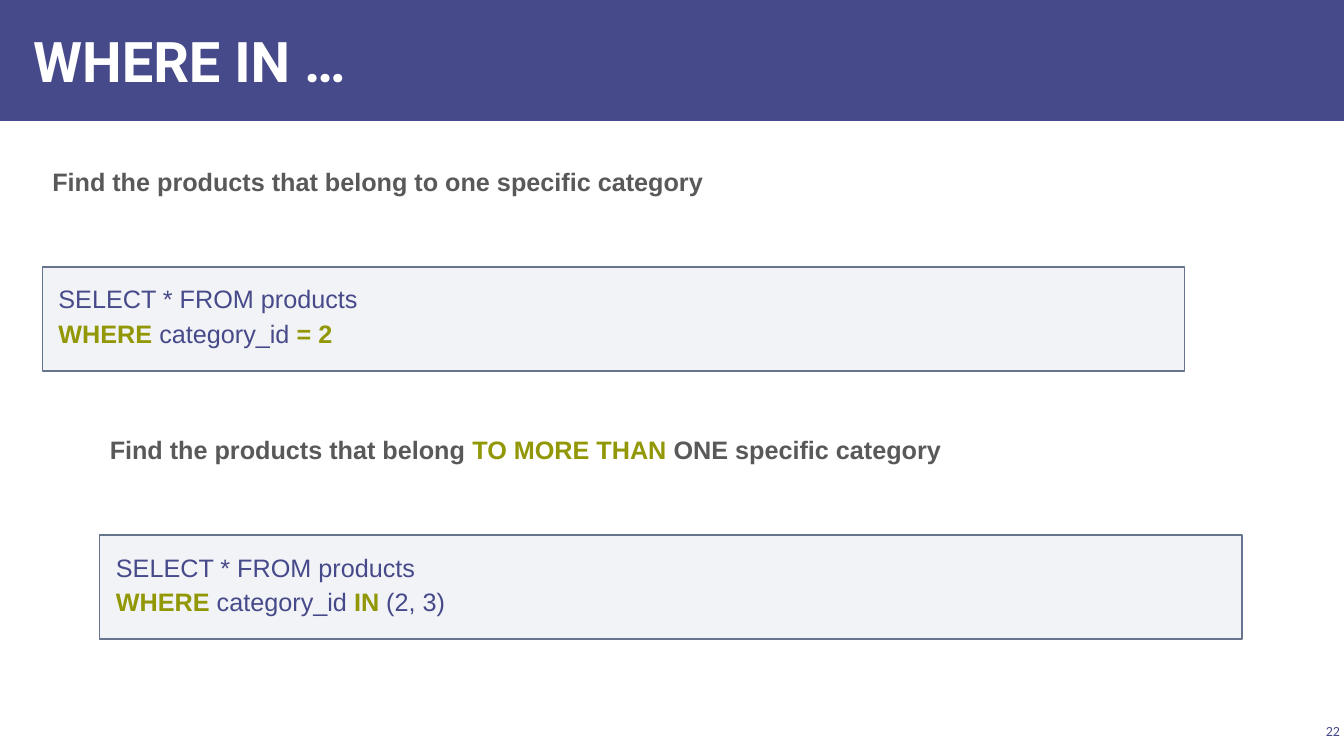
from lxml import etree
from pptx import Presentation
from pptx.dml.color import RGBColor
from pptx.enum.shapes import MSO_SHAPE as Shape
from pptx.enum.text import MSO_ANCHOR as Anchor, PP_ALIGN as Align
from pptx.oxml.ns import qn
from pptx.util import Inches, Pt

INDIGO = RGBColor(0x47, 0x4A, 0x8A)
OLIVE = RGBColor(0x91, 0x97, 0x05)
GRAY = RGBColor(0x59, 0x59, 0x59)
PANEL = RGBColor(0xAC, 0xB4, 0xC3)
BORDER = RGBColor(0x67, 0x74, 0x8E)
WHITE = RGBColor(0xFF, 0xFF, 0xFF)

SLIDE_WIDTH, SLIDE_HEIGHT = 13.33, 7.5


def set_frame(shape, inset_x, inset_y, anchor=Anchor.TOP):
    text_frame = shape.text_frame
    text_frame.word_wrap = True
    text_frame.vertical_anchor = anchor
    text_frame.margin_left = text_frame.margin_right = Inches(inset_x)
    text_frame.margin_top = text_frame.margin_bottom = Inches(inset_y)
    return text_frame


def add_runs(paragraph, runs, size, font="Arial"):
    """Add (text, colour, bold) runs to a paragraph."""
    for text, color, bold in runs:
        run = paragraph.add_run()
        run.text = text
        run.font.name = font
        run.font.size = Pt(size)
        run.font.bold = bold
        run.font.color.rgb = color


def add_rectangle(slide, left, top, width, height, color):
    shape = slide.shapes.add_shape(
        Shape.RECTANGLE, Inches(left), Inches(top), Inches(width), Inches(height))
    shape.shadow.inherit = False
    shape.fill.solid()
    shape.fill.fore_color.rgb = color
    shape.line.fill.background()
    return shape


def add_text_box(slide, left, top, width, height):
    return slide.shapes.add_textbox(
        Inches(left), Inches(top), Inches(width), Inches(height))


def add_header(slide, left, top, width, height, title):
    add_rectangle(slide, left, top, width, height, INDIGO)
    box = add_text_box(slide, left + 0.21, top + 0.11, 10.4, 0.97)
    text_frame = set_frame(box, 0.12, 0.04, Anchor.MIDDLE)
    add_runs(text_frame.paragraphs[0], [(title, WHITE, True)], 40, "Roboto")


def add_example(slide, left, top, width, heading, code_lines):
    # Heading
    box = add_text_box(slide, left, top, width - 0.05, 0.92)
    paragraph = set_frame(box, 0.1, 0.1).paragraphs[0]
    paragraph.line_spacing = 1.15
    add_runs(paragraph, heading, 18)

    # Translucent code panel
    panel = add_rectangle(slide, left, top + 1.15, width, 1.03, PANEL)
    color = panel.fill._xPr.find(qn("a:solidFill"))[0]
    etree.SubElement(color, qn("a:alpha"), val="15000")
    panel.line.color.rgb = BORDER
    panel.line.width = Pt(1)

    # Code
    text_frame = set_frame(panel, 0.16, 0.12)
    for index, runs in enumerate(code_lines):
        paragraph = text_frame.add_paragraph() if index else text_frame.paragraphs[0]
        paragraph.alignment = Align.LEFT
        paragraph.line_spacing = 1.15
        add_runs(paragraph, runs, 18)


def add_slide_number(slide, right, bottom, number):
    width, height = 0.47, 0.22
    box = add_text_box(slide, right - width, bottom - 0.36, width, height)
    paragraph = set_frame(box, 0.04, 0.04, Anchor.MIDDLE).paragraphs[0]
    paragraph.alignment = Align.RIGHT
    add_runs(paragraph, [(number, INDIGO, False)], 10, "Calibri")


def main():
    presentation = Presentation()
    presentation.slide_width = Inches(SLIDE_WIDTH)
    presentation.slide_height = Inches(SLIDE_HEIGHT)
    slide = presentation.slides.add_slide(presentation.slide_layouts[6])

    add_header(slide, 0, 0, SLIDE_WIDTH, 1.2, "WHERE IN …")

    # Both queries share everything up to the condition
    select = [("SELECT * FROM products", INDIGO, False)]
    where = [("WHERE ", OLIVE, True), ("category_id ", INDIGO, False)]
    add_example(
        slide, 0.42, 1.5, 11.33,
        [("Find the products that belong to one specific category", GRAY, True)],
        [select, where + [("= 2", OLIVE, True)]])
    add_example(
        slide, 0.99, 4.16, 11.33,
        [("Find the products that belong ", GRAY, True),
         ("TO MORE THAN ", OLIVE, True),
         ("ONE specific category", GRAY, True)],
        [select, where + [("IN ", OLIVE, True), ("(2, 3)", INDIGO, False)]])

    add_slide_number(slide, SLIDE_WIDTH, SLIDE_HEIGHT, "22")
    presentation.save("out.pptx")


if __name__ == "__main__":
    main()
